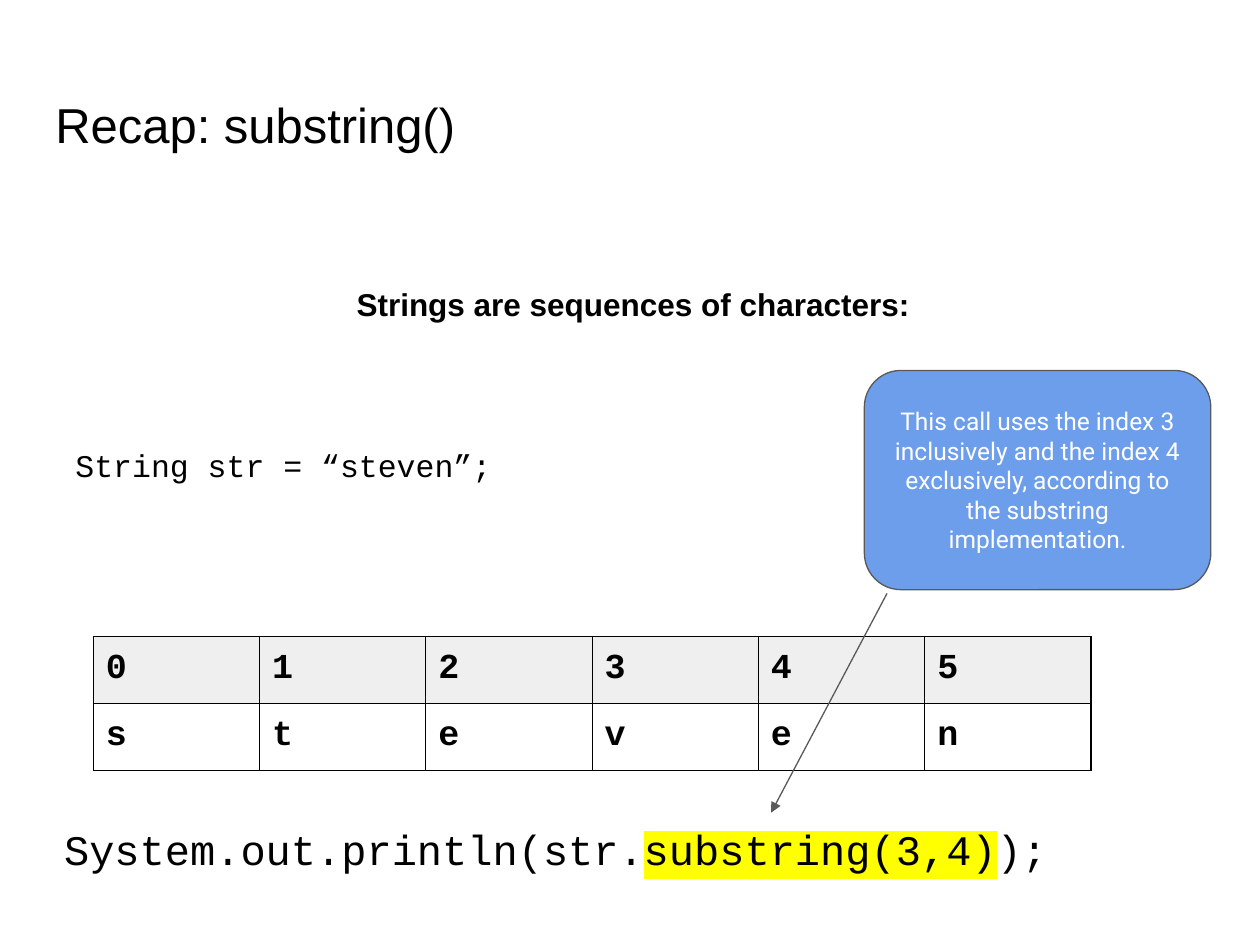
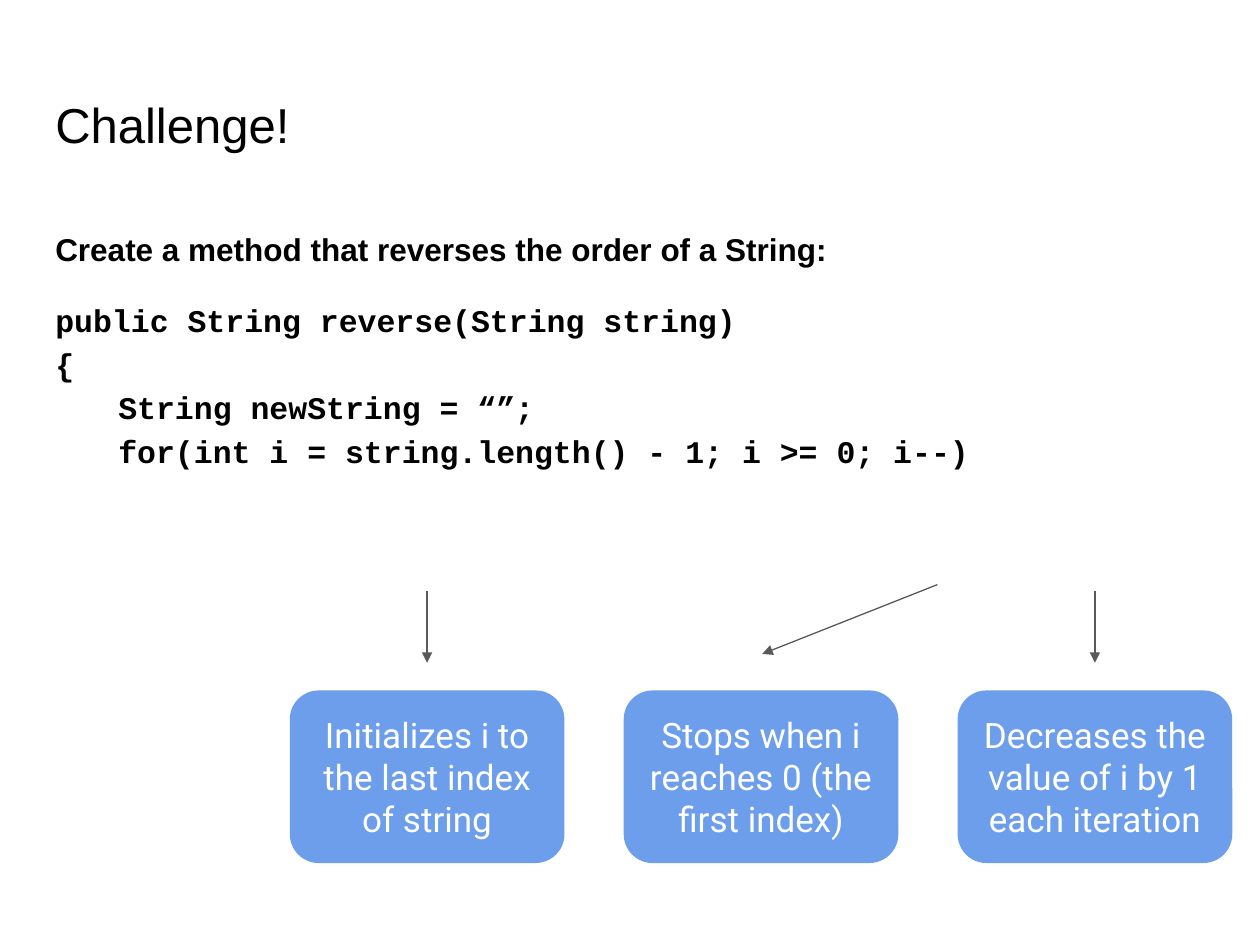
from dataclasses import dataclass

from lxml import etree
from pptx import Presentation
from pptx.dml.color import RGBColor
from pptx.enum.shapes import MSO_CONNECTOR as Connector, MSO_SHAPE as Shape
from pptx.enum.text import MSO_ANCHOR as Anchor, PP_ALIGN as Align
from pptx.oxml.ns import qn
from pptx.util import Inches, Pt


@dataclass(frozen=True)
class Theme:
    """Colours, fonts and type sizes shared by the slides."""
    ink: str = "000000"
    line: str = "595959"
    callout: str = "6D9EEB"
    callout_text: str = "FFFFFF"
    header: str = "EFEFEF"
    highlight: str = "FFFF00"
    sans: str = "Arial"
    mono: str = "Courier New"
    callout_font: str = "Roboto"
    title: int = 28
    call: int = 24
    large: int = 20
    body: int = 18
    note: int = 14
    line_width: float = 0.75
    line_spacing: float = 1.15


@dataclass(frozen=True)
class Box:
    """A rectangle measured in inches."""
    left: float
    top: float
    width: float
    height: float

    def emu(self):
        """Return left, top, width and height as lengths."""
        return [Inches(side) for side in (self.left, self.top, self.width, self.height)]


THEME = Theme()
TITLE_BOX = Box(0.34, 0.65, 9.32, 0.83)


def style_font(font, size, name, color=THEME.ink, bold=False):
    """Set the size, face, colour and weight of a font."""
    font.size, font.name, font.bold = Pt(size), name, bold
    font.color.rgb = RGBColor.from_string(color)


def prepare_frame(text_frame):
    """Wrap the text and give it equal insets."""
    text_frame.word_wrap = True
    text_frame.margin_left = text_frame.margin_right = Inches(0.1)
    text_frame.margin_top = text_frame.margin_bottom = Inches(0.1)


def add_text(slide, box, lines, size, name, bold=False, spacing=THEME.line_spacing):
    """Add a text box with one paragraph per line and return its paragraphs."""
    text_frame = slide.shapes.add_textbox(*box.emu()).text_frame
    prepare_frame(text_frame)
    text_frame.text = "\n".join(lines)
    for paragraph in text_frame.paragraphs:
        paragraph.line_spacing = spacing
        for run in paragraph.runs:
            style_font(run.font, size, name, bold=bold)
    return text_frame.paragraphs


def add_title(slide, text):
    """Add the slide title."""
    add_text(slide, TITLE_BOX, [text], THEME.title, THEME.sans, spacing=1.0)


def add_callout(slide, box, text, size, outlined=False):
    """Add a rounded blue callout with centred text."""
    shape = slide.shapes.add_shape(Shape.ROUNDED_RECTANGLE, *box.emu())
    shape.shadow.inherit = False
    shape.adjustments[0] = 0.167
    shape.fill.solid()
    shape.fill.fore_color.rgb = RGBColor.from_string(THEME.callout)
    if outlined:
        shape.line.color.rgb = RGBColor.from_string(THEME.line)
        shape.line.width = Pt(THEME.line_width)
    else:
        shape.line.fill.background()
    text_frame = shape.text_frame
    prepare_frame(text_frame)
    text_frame.vertical_anchor = Anchor.MIDDLE
    text_frame.text = text
    paragraph = text_frame.paragraphs[0]
    paragraph.alignment = Align.CENTER
    style_font(paragraph.runs[0].font, size, THEME.callout_font, THEME.callout_text)


def add_arrow(slide, start, end):
    """Add a thin arrow from start to end."""
    points = [Inches(value) for value in (*start, *end)]
    arrow = slide.shapes.add_connector(Connector.STRAIGHT, *points)
    arrow.line.color.rgb = RGBColor.from_string(THEME.line)
    arrow.line.width = Pt(THEME.line_width)
    etree.SubElement(arrow.line._get_or_add_ln(), qn("a:tailEnd"), type="triangle")
    etree.SubElement(arrow._element.spPr, qn("a:effectLst"))


def add_cell_borders(cell):
    """Draw a thin line on each side of a cell."""
    properties = cell._tc.get_or_add_tcPr()
    for position, side in enumerate(("lnL", "lnR", "lnT", "lnB")):
        border = etree.Element(qn(f"a:{side}"), w=str(Pt(THEME.line_width)))
        fill = etree.SubElement(border, qn("a:solidFill"))
        etree.SubElement(fill, qn("a:srgbClr"), val=THEME.ink)
        properties.insert(position, border)


def add_character_table(slide, box, word):
    """Add a table with the index of each character above the character."""
    rows = [[str(index) for index in range(len(word))], list(word)]
    table = slide.shapes.add_table(len(rows), len(word), *box.emu()).table
    for column in table.columns:
        column.width = Inches(box.width / len(word))
    for row_index, values in enumerate(rows):
        table.rows[row_index].height = Inches(box.height / len(rows))
        for column_index, value in enumerate(values):
            cell = table.cell(row_index, column_index)
            cell.text = value
            prepare_frame(cell.text_frame)
            cell.margin_left = cell.margin_right = Inches(0.1)
            cell.margin_top = cell.margin_bottom = Inches(0.1)
            style_font(cell.text_frame.paragraphs[0].runs[0].font,
                       THEME.large, THEME.mono, bold=True)
            if row_index == 0:
                cell.fill.solid()
                cell.fill.fore_color.rgb = RGBColor.from_string(THEME.header)
            else:
                cell.fill.background()
            add_cell_borders(cell)


def add_highlighted_call(slide, box, before, marked, after):
    """Add a line of code with its middle part highlighted."""
    paragraph = add_text(slide, box, [before], THEME.call, THEME.mono)[0]
    for text in (marked, after):
        run = paragraph.add_run()
        run.text = text
        style_font(run.font, THEME.call, THEME.mono)
    properties = paragraph.runs[1]._r.get_or_add_rPr()
    highlight = etree.Element(qn("a:highlight"))
    etree.SubElement(highlight, qn("a:srgbClr"), val=THEME.highlight)
    properties.find(qn("a:solidFill")).addnext(highlight)


def add_string_example(slide, box):
    """Add the heading and the declaration of the string."""
    heading, declaration = add_text(
        slide, box, ["Strings are sequences of characters:", "String str = “steven”;"],
        THEME.body, THEME.sans, bold=True)
    heading.alignment = Align.CENTER
    declaration.space_before = Pt(67)
    style_font(declaration.runs[0].font, THEME.body, THEME.mono)


def add_reverse_method(slide, box):
    """Add the task and the first lines of the method."""
    task, *code = add_text(slide, box, [
        "Create a method that reverses the order of a String:",
        "public String reverse(String string)",
        "{",
        "String newString = “”;",
        "for(int i = string.length() - 1; i >= 0; i--)",
    ], THEME.body, THEME.sans, bold=True)
    code[0].space_before = Pt(16)
    for paragraph in code:
        paragraph.runs[0].font.name = THEME.mono
    for paragraph in code[2:]:
        paragraph._p.get_or_add_pPr().set("marL", str(Inches(0.5)))


def add_loop_notes(slide, box):
    """Add a callout for each part of the loop, with an arrow above it."""
    width, middle = 2.18, 1.09
    notes = [
        ("Initializes i to the last index of string", (middle, -0.79), (middle, -0.22)),
        ("Stops when i reaches 0 (the first index)", (2.49, -0.84), (1.1, -0.29)),
        ("Decreases the value of i by 1 each iteration", (middle, -0.79), (middle, -0.22)),
    ]
    pitch = (box.width - width) / (len(notes) - 1)
    for index, (text, *ends) in enumerate(notes):
        left = box.left + index * pitch
        add_arrow(slide, *[(left + x, box.top + y) for x, y in ends])
        add_callout(slide, Box(left, box.top, width, box.height), text, THEME.large)


def build_recap(slide):
    """Build the slide that recalls substring()."""
    add_string_example(slide, Box(0.5, 2.12, 9.05, 1.9))
    add_character_table(slide, Box(0.74, 5.05, 7.92, 1.03), "steven")
    add_callout(slide, Box(6.86, 2.94, 2.75, 1.74),
                "This call uses the index 3 inclusively and the index 4 exclusively, "
                "according to the substring implementation.", THEME.note, outlined=True)
    add_highlighted_call(slide, Box(0.41, 6.38, 9.05, 0.7),
                         "System.out.println(str.", "substring(3,4)", ");")
    add_arrow(slide, (7.04, 4.71), (6.12, 6.45))
    add_title(slide, "Recap: substring()")


def build_challenge(slide):
    """Build the slide that sets the challenge."""
    add_title(slide, "Challenge!")
    add_reverse_method(slide, Box(0.34, 1.68, 9.32, 2.3))
    add_loop_notes(slide, Box(2.3, 5.48, 7.48, 1.37))


def main():
    """Build and save the presentation."""
    presentation = Presentation()
    presentation.slide_width, presentation.slide_height = Inches(10), Inches(7.5)
    for build in (build_recap, build_challenge):
        build(presentation.slides.add_slide(presentation.slide_layouts[6]))
    presentation.save("out.pptx")


if __name__ == "__main__":
    main()
